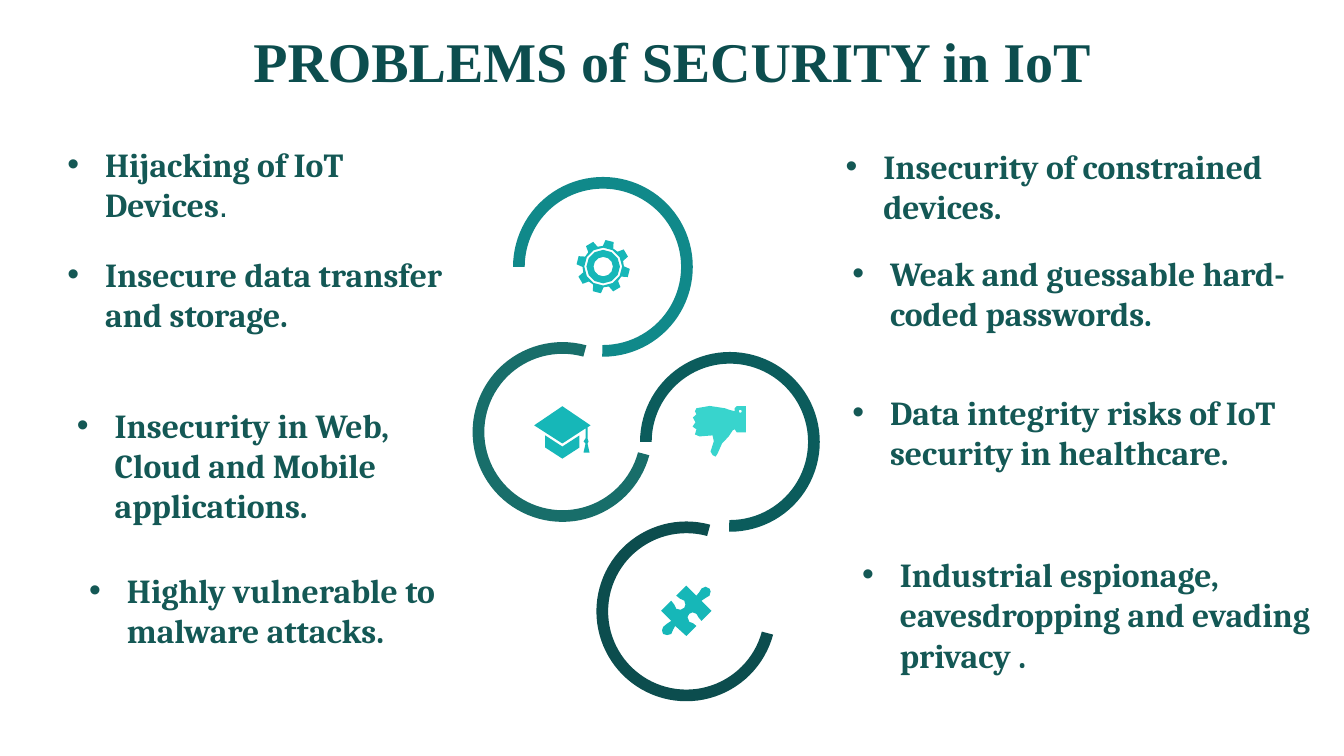
from math import cos, sin, radians
from lxml.etree import SubElement
from pptx import Presentation
from pptx.dml.color import RGBColor
from pptx.enum.shapes import MSO_SHAPE
from pptx.enum.text import MSO_ANCHOR, MSO_AUTO_SIZE, PP_ALIGN
from pptx.oxml.ns import qn
from pptx.util import Cm, Pt

TITLE = "PROBLEMS of SECURITY in IoT"
INK, DARK, TEAL, DEEP, AQUA = "145855", "0C4D4E", "16B7B8", "0B5C5C", "38D4CD"
BODY = dict(font="Cambria", size=24, color=INK, bold=True)

PROBLEMS = [
    (1.45, 3.5, 9.4, 2.31, [("Hijacking of IoT Devices", {}), (".", dict(font="Arial", bold=False))]),
    (1.45, 6.27, 10.72, 2.31, [("Insecure data transfer and storage.", {})]),
    (1.69, 10.07, 10.16, 2.31, [("Insecurity in Web, Cloud and Mobile applications.", {})]),
    (2, 14.24, 12.32, 2.31, [("Highly vulnerable to malware attacks.", {})]),
    (21.06, 3.54, 12.95, 2.31, [("Insecurity of constrained devices.", {})]),
    (21.23, 6.25, 12.78, 2.31, [("Weak and guessable hard-coded passwords", {}), (".", dict(color=DEEP))]),
    (21.23, 9.74, 12.24, 2.31, [("Data integrity risks of IoT security in healthcare.", {})]),
    (21.48, 13.83, 13.03, 3.33, [("Industrial espionage, eavesdropping and evading privacy .", {})]),
]

ARC_SIZE = 4.53
ARCS = [
    (12.93, 4.46, 0, "10898A"),
    (11.91, 8.62, 195, "186E6A"),
    (16.13, 8.87, 0, DEEP),
    (15.03, 13.14, 195, DARK),
]

ICON_UNIT = Cm(0.0254)
FINE = 100
PUZZLE = [[
    (704, 584), (705, 585, 706, 588, 704, 591), (702, 594, 699, 592, 696, 596),
    (706, 606), (696, 616), (692, 614, 694, 611, 691, 609), (689, 607, 685, 607, 684, 609),
    (682, 610, 681, 614, 684, 617), (687, 619, 688, 617, 691, 621), (681, 631), (670, 621),
    (667, 624, 669, 625, 666, 629), (664, 631, 660, 630, 658, 629), (657, 627, 656, 624, 658, 622),
    (660, 618, 663, 620, 666, 616), (656, 606), (666, 596), (670, 598, 668, 601, 671, 604),
    (674, 606, 677, 605, 679, 603), (680, 602, 681, 598, 679, 596), (675, 593, 674, 595, 671, 591),
    (681, 581), (691, 591), (695, 588, 693, 587, 696, 584), (698, 581, 702, 582, 704, 584),
]]
CAP = [
    [(541, 432), (558, 443), (575, 432), (575, 444), (558, 455), (541, 444)],
    [(558, 403), (586, 422), (583, 424), (583, 435), (584, 438), (583, 440), (585, 449),
     (579, 449), (581, 440), (579, 438), (581, 435), (581, 425), (558, 440), (530, 422)],
]
THUMB = [[
    (710, 453), (708, 453, 706, 451, 705, 448), (704, 442, 714, 432, 707, 432),
    (702, 432, 699, 433, 694, 433), (689, 433, 688, 430, 691, 426), (687, 426, 685, 421, 690, 419),
    (685, 416, 688, 412, 691, 411), (689, 409, 689, 407, 691, 405), (697, 403, 711, 401, 719, 405),
    (723, 406, 726, 408, 729, 408), (729, 405), (731, 403), (740, 403), (740, 429), (731, 429),
    (729, 426), (727, 427), (723, 433), (719, 438, 713, 441, 712, 450), (710, 453),
]]


def rgb(value):
    return RGBColor.from_string(value)


def add_run(p, text, font, size, color, bold):
    r = p.add_run()
    r.text = text
    r.font.name, r.font.size, r.font.bold = font, Pt(size), bold
    r.font.color.rgb = rgb(color)


def paint(sp, color):
    sp.shadow.inherit = False
    sp.fill.solid()
    sp.fill.fore_color.rgb = rgb(color)
    sp.line.fill.background()


def polar(cx, cy, radius, angle):
    return cx + radius * cos(radians(angle)), cy + radius * sin(radians(angle))


def circle(cx, cy, radius, count=12):
    return [polar(cx, cy, radius, 360 / count * i) for i in range(count)]


def gear(cx, cy, teeth=8, tilt=14):
    profile = [(20.5, -15), (26.5, -9), (26.5, 9), (20.5, 15)]
    rim = [polar(cx, cy, radius, tilt + 360 / teeth * i + a)
           for i in range(teeth) for radius, a in profile]
    return [rim] + [circle(cx, cy, radius) for radius in (18.8, 16.6, 9.6)]


def flatten(contour, steps=2):
    points = [contour[0]]
    for seg in contour[1:]:
        if len(seg) == 2:
            points.append(seg)
            continue
        knots = [points[-1], seg[:2], seg[2:4], seg[4:]]
        for i in range(1, steps + 1):
            t = i / steps
            weights = ((1 - t) ** 3, 3 * t * (1 - t) ** 2, 3 * t * t * (1 - t), t ** 3)
            points.append(tuple(sum(w * k[axis] for w, k in zip(weights, knots)) for axis in (0, 1)))
    return [(x * FINE, y * FINE) for x, y in points]


def add_icon(contours, color):
    outlines = [flatten(c) for c in contours]
    fb = s.shapes.build_freeform(*outlines[0][0], scale=ICON_UNIT / FINE)
    for i, points in enumerate(outlines):
        if i:
            fb.move_to(*points[0])
        fb.add_line_segments(points[1:], close=True)
    paint(fb.convert_to_shape(), color)


def add_problem(left, top, width, height, runs):
    tf = s.shapes.add_textbox(Cm(left), Cm(top), Cm(width), Cm(height)).text_frame
    tf.word_wrap = True
    tf.auto_size = MSO_AUTO_SIZE.SHAPE_TO_FIT_TEXT
    p = tf.paragraphs[0]
    pPr = p._p.get_or_add_pPr()
    pPr.set("marL", str(Cm(0.95)))
    pPr.set("indent", str(Cm(-0.95)))
    SubElement(pPr, qn("a:buFont")).set("typeface", "Arial")
    SubElement(pPr, qn("a:buChar")).set("char", "•")
    for text, fmt in runs:
        add_run(p, text, **{**BODY, **fmt})


prs = Presentation()
prs.slide_width, prs.slide_height = Cm(33.87), Cm(19.05)
s = prs.slides.add_slide(prs.slide_layouts[5])

title = s.shapes.title
title.left, title.top, title.width, title.height = Cm(0), Cm(0.46), Cm(33.87), Cm(2.13)
tf = title.text_frame
tf.vertical_anchor = MSO_ANCHOR.MIDDLE
p = tf.paragraphs[0]
p.alignment = PP_ALIGN.CENTER
add_run(p, TITLE, font="Times New Roman", size=40, color=DARK, bold=True)

for left, top, rotation, color in ARCS:
    arc = s.shapes.add_shape(MSO_SHAPE.BLOCK_ARC, Cm(left), Cm(top), Cm(ARC_SIZE), Cm(ARC_SIZE))
    for i, value in enumerate((108, 54.263, 0.065)):
        arc.adjustments[i] = value
    arc.rotation = rotation
    paint(arc, color)

add_icon(PUZZLE, TEAL)
add_icon(CAP, TEAL)
add_icon(gear(598.5, 264.5), TEAL)

for problem in PROBLEMS:
    add_problem(*problem)

add_icon(THUMB + [circle(734.5, 408, 1.6, count=6)], AQUA)

prs.save("out.pptx")
